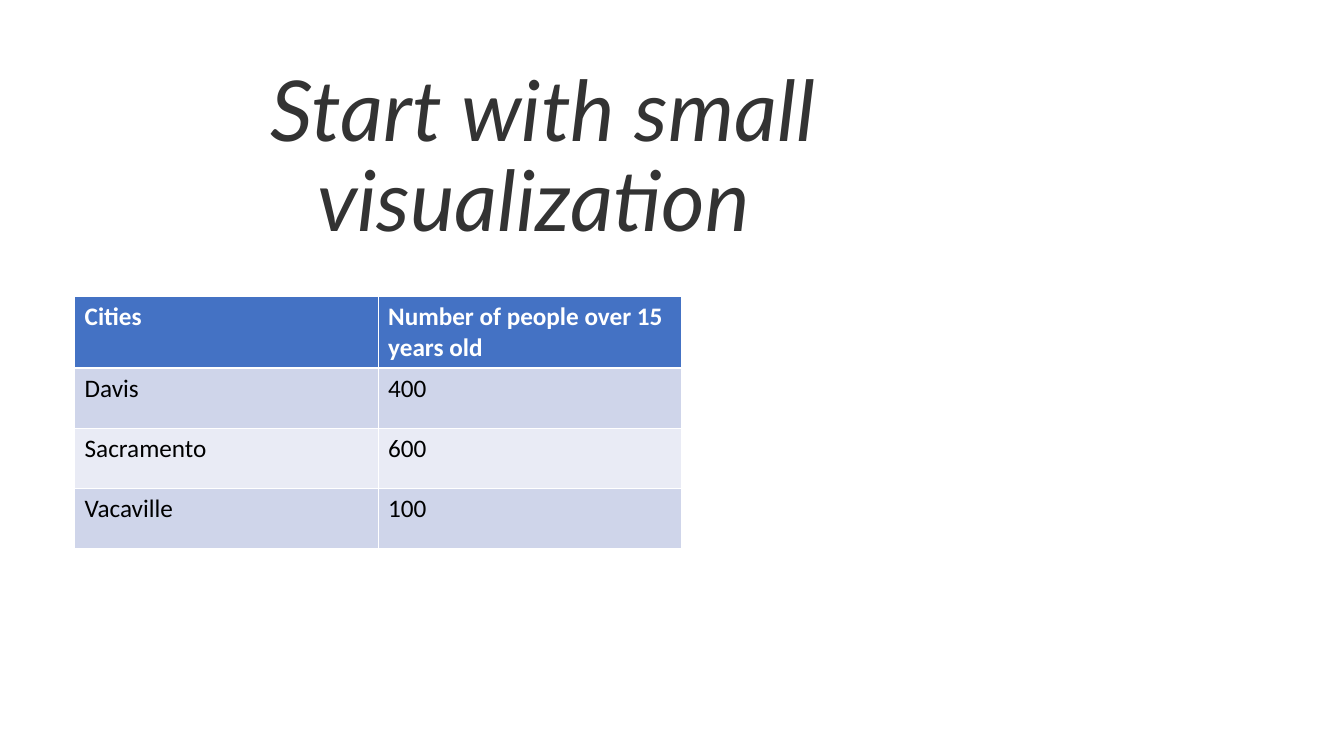
from typing import NamedTuple

from pptx import Presentation
from pptx.dml.color import RGBColor
from pptx.enum.text import MSO_ANCHOR, PP_ALIGN
from pptx.slide import Slide
from pptx.util import Cm, Pt

TITLE_GREY = RGBColor(0x33, 0x33, 0x33)
WHITE = RGBColor(0xFF, 0xFF, 0xFF)
BLACK = RGBColor(0, 0, 0)
HEADER_BLUE = RGBColor(0x44, 0x72, 0xC4)
BAND_DARK = RGBColor(0xCF, 0xD5, 0xEA)
BAND_LIGHT = RGBColor(0xE9, 0xEB, 0xF5)

COLUMN_WIDTH = Cm(7.65)
ROW_HEIGHT = Cm(1.52)


class TableRow(NamedTuple):
    city: str
    people: str
    fill: RGBColor
    color: RGBColor = BLACK
    bold: bool = False


ROWS = [
    TableRow("Cities", "Number of people over 15 years old", HEADER_BLUE, WHITE, True),
    TableRow("Davis", "400", BAND_DARK),
    TableRow("Sacramento", "600", BAND_LIGHT),
    TableRow("Vacaville", "100", BAND_DARK),
]


def add_title(page: Slide) -> None:
    title = page.shapes.title
    title.left, title.top = Cm(0.99), Cm(-0.2)
    title.width, title.height = Cm(25.4), Cm(6.63)
    frame = title.text_frame
    frame.text = "Start with small visualization "
    frame.word_wrap = True
    frame.vertical_anchor = MSO_ANCHOR.BOTTOM
    para = frame.paragraphs[0]
    para.alignment = PP_ALIGN.CENTER
    para.line_spacing = 0.9
    font = para.runs[0].font
    font.name, font.size, font.italic = "Lato", Pt(60), True
    font.color.rgb = TITLE_GREY


def add_city_table(page: Slide) -> None:
    table = page.shapes.add_table(
        len(ROWS), 2, Cm(1.88), Cm(7.47), 2 * COLUMN_WIDTH, len(ROWS) * ROW_HEIGHT
    ).table
    for line, row in zip(table.rows, ROWS):
        for cell, text in zip(line.cells, (row.city, row.people)):
            cell.fill.solid()
            cell.fill.fore_color.rgb = row.fill
            cell.text_frame.text = text
            font = cell.text_frame.paragraphs[0].runs[0].font
            font.name, font.size, font.bold = "Calibri", Pt(18), row.bold
            font.color.rgb = row.color


def main() -> None:
    deck = Presentation()
    deck.slide_width, deck.slide_height = Cm(33.87), Cm(19.05)
    page = deck.slides.add_slide(deck.slide_layouts.get_by_name("Title Only"))
    add_title(page)
    add_city_table(page)
    deck.save("out.pptx")


if __name__ == "__main__":
    main()
